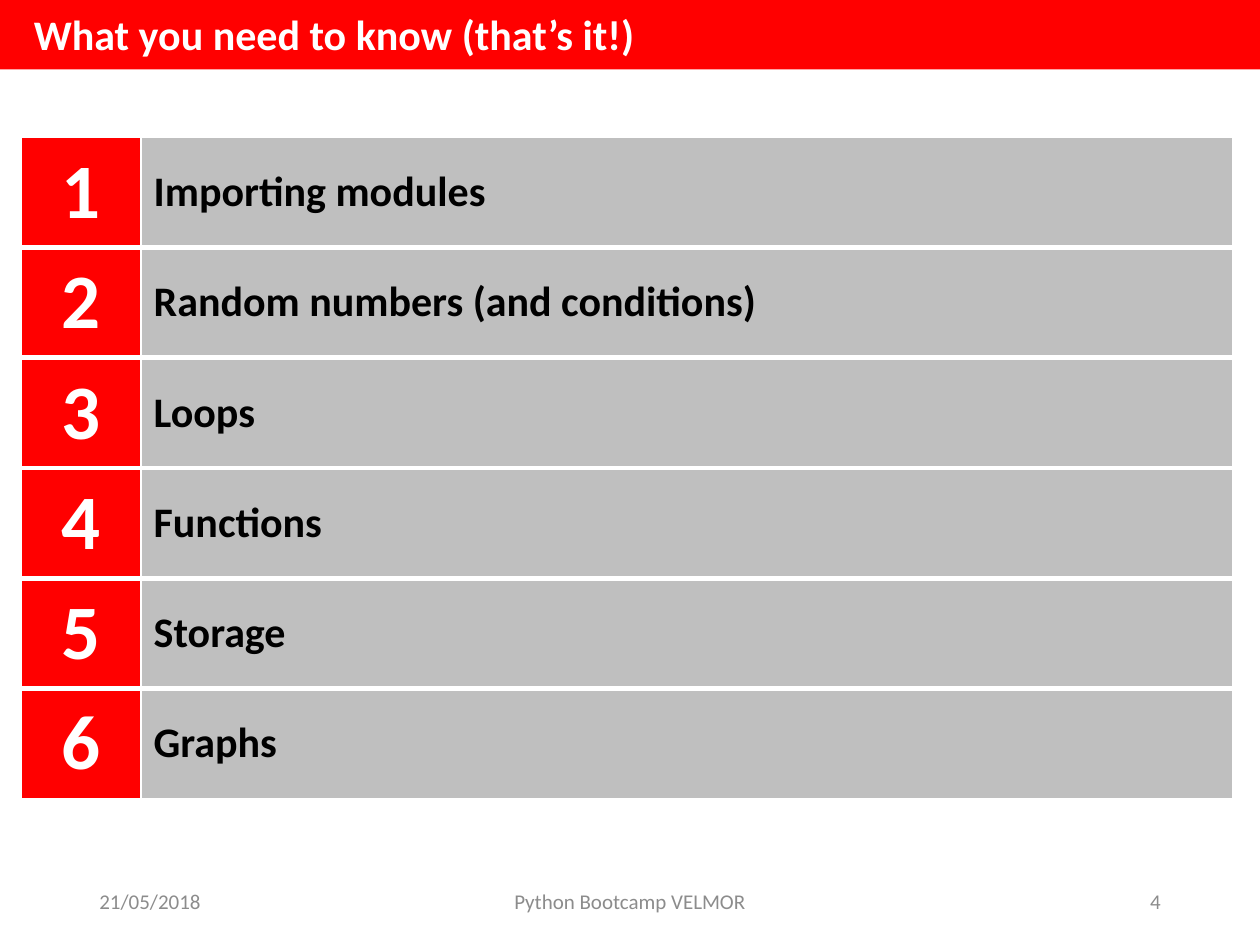
from dataclasses import dataclass

from lxml import etree
from pptx import Presentation
from pptx import util as u
from pptx.dml.color import RGBColor
from pptx.enum import shapes, text
from pptx.oxml import ns

FONT = "Calibri"
RED, GREY, WHITE, BLACK, MUTED = "FF0000", "BFBFBF", "FFFFFF", "000000", "8C8C8C"
LEFT, CENTER, RIGHT = text.PP_ALIGN.LEFT, text.PP_ALIGN.CENTER, text.PP_ALIGN.RIGHT
TOPICS = [
    "Importing modules",
    "Random numbers (and conditions)",
    "Loops",
    "Functions",
    "Storage",
    "Graphs",
]
ROW_HEIGHT = 0.875
COLUMN_WIDTHS = (0.95, 8.66)
THIN, THICK = 1, 3


@dataclass(frozen=True)
class Style:
    size: int
    color: str
    bold: bool = False
    align: text.PP_ALIGN = LEFT


@dataclass(frozen=True)
class Label:
    words: str
    left: float
    top: float
    width: float
    height: float
    style: Style


NUMBER = Style(44, WHITE, True, CENTER)
TOPIC = Style(24, BLACK, True)
LABELS = [
    Label("21/05/2018", 0.69, 6.95, 2.25, 0.4, Style(12, MUTED)),
    Label("Python Bootcamp VELMOR", 3.31, 6.95, 3.38, 0.4, Style(12, MUTED, align=CENTER)),
    Label("4", 7.06, 6.95, 2.25, 0.4, Style(12, MUTED, align=RIGHT)),
    Label("What you need to know (that’s it!)", 0.17, 0.02, 9.27, 0.5, Style(24, WHITE, True)),
]


def paint(fill, color: str) -> None:
    fill.solid()
    fill.fore_color.rgb = RGBColor.from_string(color)


def write(frame, words: str, style: Style) -> None:
    para = frame.paragraphs[0]
    para.alignment = style.align
    span = para.add_run()
    span.text = words
    span.font.name = FONT
    span.font.size = u.Pt(style.size)
    span.font.bold = style.bold
    span.font.color.rgb = RGBColor.from_string(style.color)


def add_label(page, label: Label) -> None:
    place = (label.left, label.top, label.width, label.height)
    frame = page.shapes.add_textbox(*map(u.Inches, place)).text_frame
    frame.word_wrap = True
    frame.vertical_anchor = text.MSO_ANCHOR.MIDDLE
    write(frame, label.words, label.style)


def add_title_band(page) -> None:
    band = page.shapes.add_shape(
        shapes.MSO_SHAPE.RECTANGLE, 0, 0, u.Inches(10), u.Inches(0.55)
    )
    band.shadow.inherit = False
    paint(band.fill, RED)
    band.line.fill.background()


def set_borders(cell, top: int, bottom: int) -> None:
    """Draw white cell borders; the side borders are always thin."""
    properties = cell._tc.get_or_add_tcPr()
    for side, points in (("L", THIN), ("R", THIN), ("T", top), ("B", bottom)):
        line = etree.SubElement(properties, ns.qn(f"a:ln{side}"), w=str(u.Pt(points)))
        solid = etree.SubElement(line, ns.qn("a:solidFill"))
        etree.SubElement(solid, ns.qn("a:srgbClr"), val=WHITE)


def add_topic_table(page) -> None:
    last = len(TOPICS) - 1
    table = page.shapes.add_table(
        len(TOPICS), 2, u.Inches(0.17), u.Inches(1.09),
        u.Inches(sum(COLUMN_WIDTHS)), u.Inches(ROW_HEIGHT * len(TOPICS)),
    ).table
    table.first_row = table.horz_banding = False
    for column, width in zip(table.columns, COLUMN_WIDTHS):
        column.width = u.Inches(width)
    for index, topic in enumerate(TOPICS):
        table.rows[index].height = u.Inches(ROW_HEIGHT)
        contents = ((str(index + 1), NUMBER, RED), (topic, TOPIC, GREY))
        for column, (words, style, color) in enumerate(contents):
            cell = table.cell(index, column)
            cell.vertical_anchor = text.MSO_ANCHOR.MIDDLE
            set_borders(
                cell,
                top=THIN if index == 0 else THICK,
                bottom=THIN if index == last else THICK,
            )
            paint(cell.fill, color)
            write(cell.text_frame, words, style)


def main() -> None:
    deck = Presentation()
    deck.slide_width, deck.slide_height = u.Inches(10), u.Inches(7.5)
    page = deck.slides.add_slide(deck.slide_layouts[6])
    paint(page.background.fill, WHITE)
    add_title_band(page)
    for label in LABELS:
        add_label(page, label)
    add_topic_table(page)
    deck.save("out.pptx")


if __name__ == "__main__":
    main()
